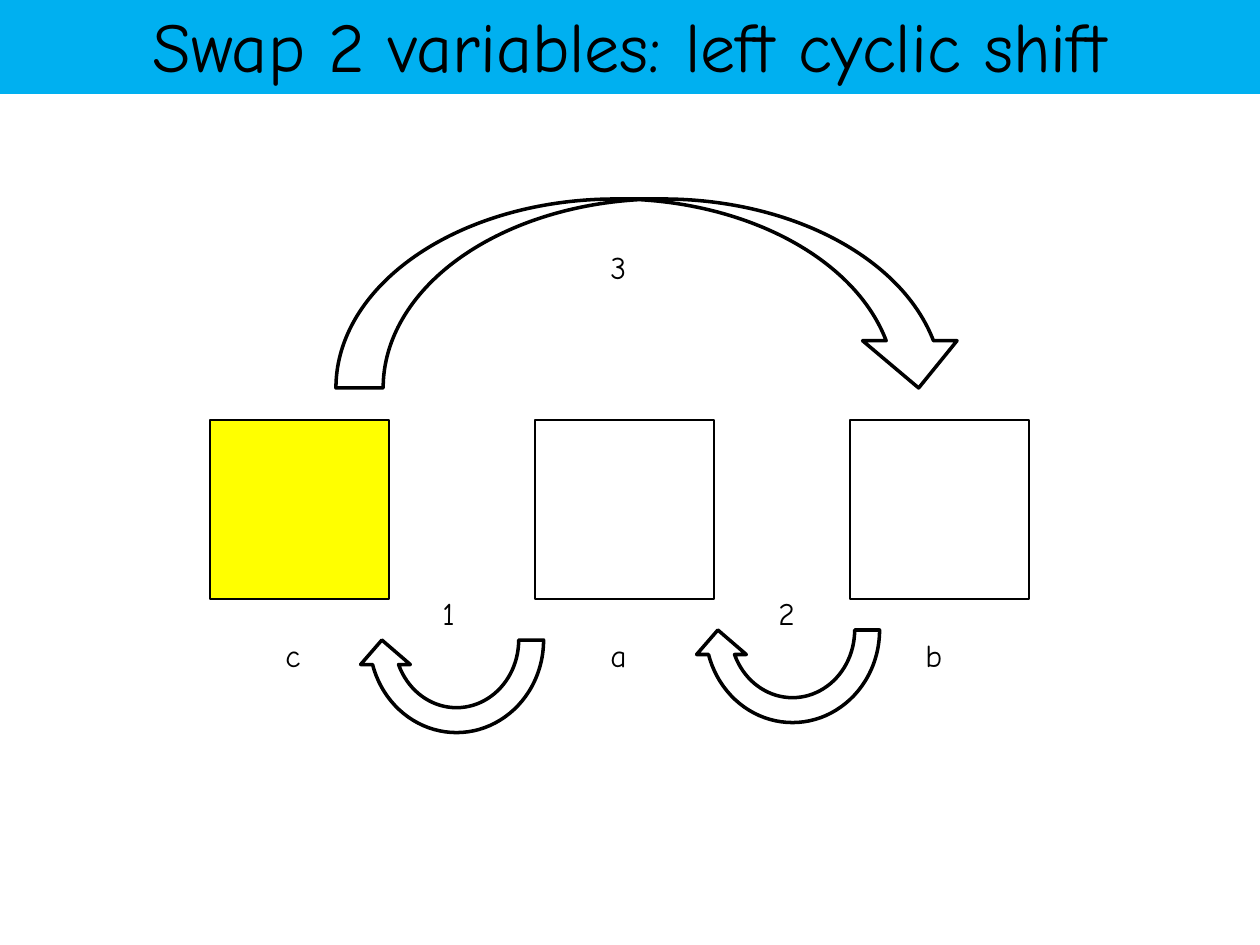
from pptx import Presentation
from pptx import util as u
from pptx.dml import color
from pptx.enum import shapes, text

PIXEL = u.Inches(1) // 126
FONT = "Comic Neue"
COLORS = {"ink": "000000", "banner": "00B0F0", "spare": "FFFF00"}
SHAPE = shapes.MSO_SHAPE


def rgb(name):
    """Return the named colour."""
    return color.RGBColor.from_string(COLORS[name])


def to_emu(box):
    """Turn a box in pixels into EMU lengths."""
    return [u.Emu(length * PIXEL) for length in box]


def add_figure(slide, kind, box, fill=None, line_width=None):
    """Add a preset shape with an optional fill and outline."""
    shape = slide.shapes.add_shape(kind, *to_emu(box))
    shape.shadow.inherit = False
    if fill:
        shape.fill.solid()
        shape.fill.fore_color.rgb = rgb(fill)
    else:
        shape.fill.background()
    if line_width:
        shape.line.color.rgb = rgb("ink")
        shape.line.width = u.Pt(line_width)
    else:
        shape.line.fill.background()
    return shape


def add_words(shape, words, size, alignment):
    """Write one run of text into a shape."""
    shape.text_frame.word_wrap = True
    paragraph = shape.text_frame.paragraphs[0]
    paragraph.alignment = alignment
    run = paragraph.add_run()
    run.text = words
    run.font.name = FONT
    run.font.size = u.Pt(size)
    run.font.color.rgb = rgb("ink")


def add_label(slide, words, left, top):
    """Add a small text label."""
    label = slide.shapes.add_textbox(*to_emu((left, top, 63, 52)))
    add_words(label, words, 18, text.PP_ALIGN.LEFT)
    label.text_frame.auto_size = text.MSO_AUTO_SIZE.SHAPE_TO_FIT_TEXT


def add_variable(slide, box, name, fill=None):
    """Draw a variable as a square with its name below."""
    left, top, width, height = box
    add_figure(slide, SHAPE.RECTANGLE, box, fill, 1)
    add_label(slide, name, left + 63, top + height + 31)


def add_step(slide, kind, box, number, offset, rotation=0):
    """Draw an assignment arrow with its step number."""
    arrow = add_figure(slide, kind, box, line_width=2)
    arrow.rotation = rotation
    add_label(slide, number, box[0] + offset[0], box[1] + offset[1])


def add_banner(slide, box, title):
    """Draw the title banner."""
    banner = add_figure(slide, SHAPE.RECTANGLE, box, "banner")
    banner.text_frame.vertical_anchor = text.MSO_ANCHOR.MIDDLE
    add_words(banner, title, 40, text.PP_ALIGN.CENTER)


def build_slide(presentation):
    """Build the slide on swapping two variables."""
    slide = presentation.slides.add_slide(presentation.slide_layouts[6])
    for name, left, fill in (("a", 535, None), ("b", 850, None), ("c", 210, "spare")):
        add_variable(slide, (left, 420, 179, 179), name, fill)
    add_step(slide, SHAPE.CURVED_DOWN_ARROW, (336, 199, 630, 189), "3", (262, 43))
    for number, left, top in (("2", 693, 525), ("1", 357, 535)):
        add_step(slide, SHAPE.CIRCULAR_ARROW, (left, top, 199, 210), number,
                 (73, 588 - top), 180)
    add_banner(slide, (-1, -4, 1261, 98), "Swap 2 variables: left cyclic shift")


presentation = Presentation()
presentation.slide_width, presentation.slide_height = to_emu((1260, 945))
build_slide(presentation)
presentation.save("out.pptx")
